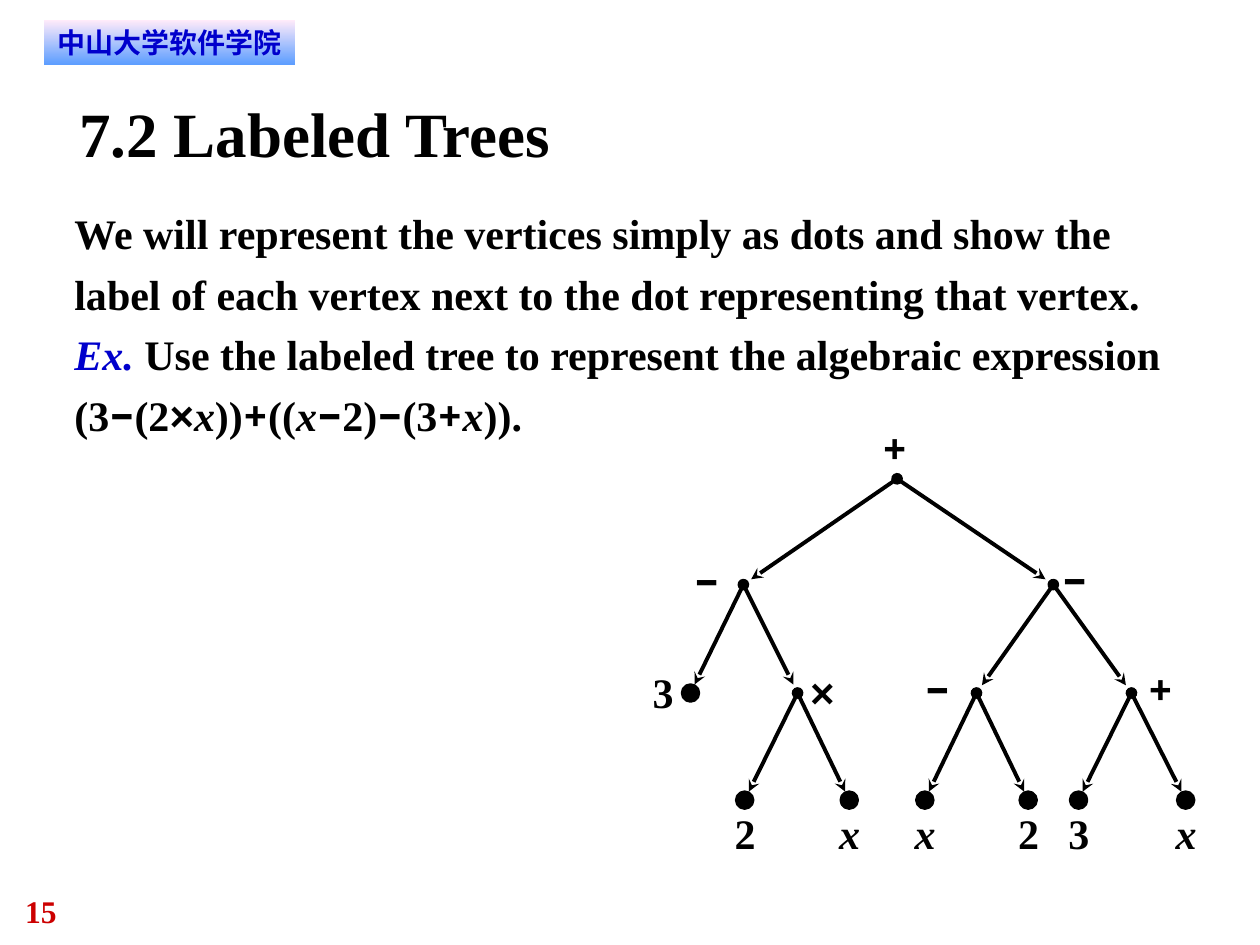
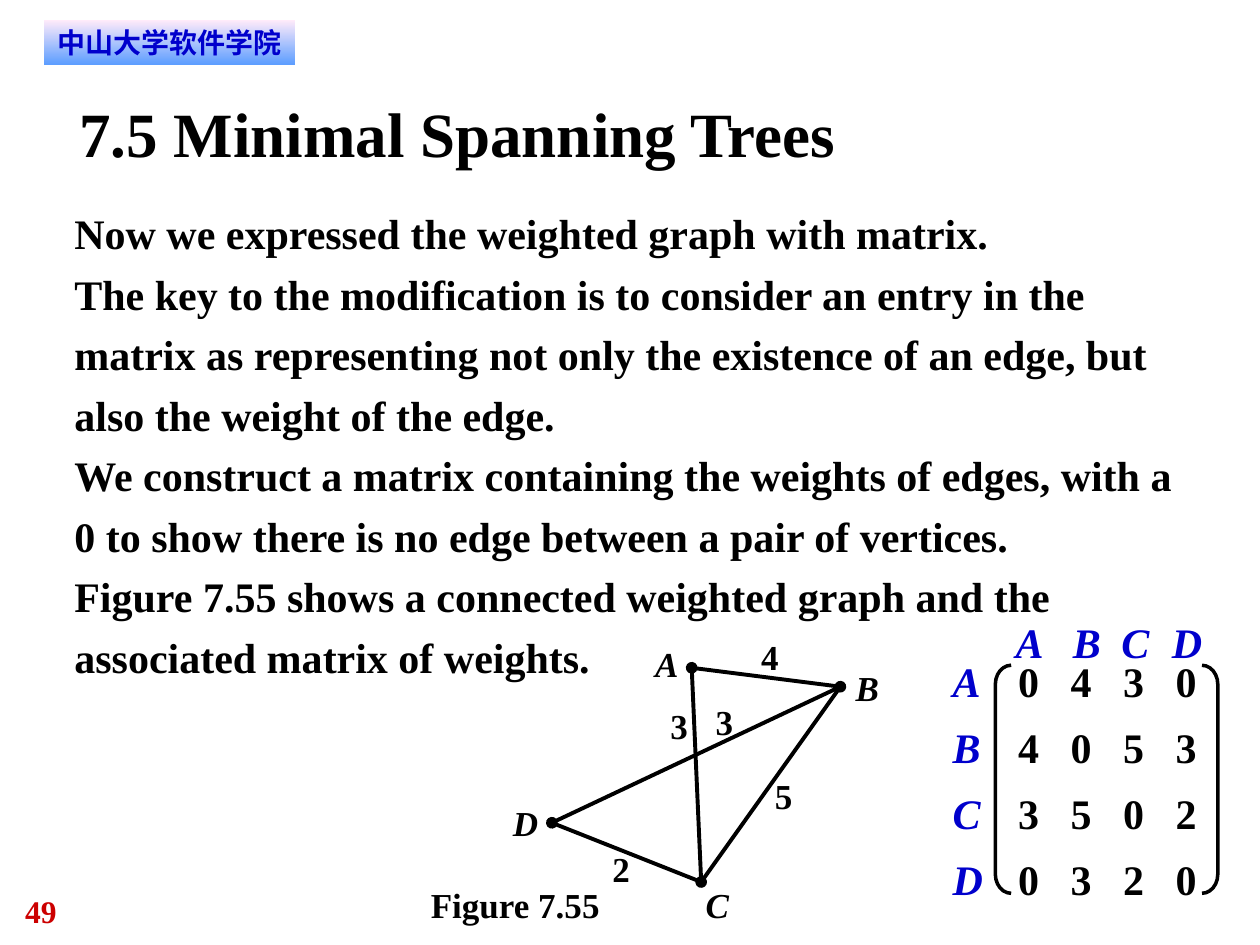
from dataclasses import dataclass
from itertools import groupby
from math import hypot
from typing import Optional

from lxml.etree import SubElement
from pptx import Presentation
from pptx.dml.color import RGBColor
from pptx.enum.shapes import MSO_CONNECTOR, MSO_SHAPE
from pptx.enum.text import MSO_ANCHOR, MSO_AUTO_SIZE, PP_ALIGN
from pptx.oxml.ns import qn
from pptx.util import Inches, Pt

COLORS = {"ink": "000000", "accent": "0000CC", "number": "CC0000",
          "band_top": "FFEBFA", "band_bottom": "5E9EFF"}
SERIF, MONO, SANS, BAND_FONT = "Times New Roman", "Noto Sans Mono", "Arial", "DejaVu Sans"

# The page is a grid of 100 columns by 75 rows
PAGE_WIDTH, PAGE_HEIGHT = Inches(10), Inches(7.5)
COLUMN, ROW = PAGE_WIDTH / 100, PAGE_HEIGHT / 75
DOT = 1.2


@dataclass(frozen=True)
class Area:
    left: float
    top: float
    width: float
    height: float

    def lengths(self) -> tuple:
        return (round(self.left * COLUMN), round(self.top * ROW),
                round(self.width * COLUMN), round(self.height * ROW))


@dataclass(frozen=True)
class Span:
    text: str
    font: str = SERIF
    italic: bool = False
    color: str = "ink"


@dataclass(frozen=True)
class Vertex:
    column: float
    row: float
    label: str
    label_left: float = -0.8
    label_top: float = 0.6
    children: tuple = ()


@dataclass(frozen=True)
class Edge:
    start: str
    end: str
    weight: str
    label_left: float
    label_top: float
    dots: Optional[str] = None


# Symbol: font, italic, width of its label
SYMBOLS = {"+": (MONO, False, 1.9), "−": (MONO, False, 2.8),
           "×": (SANS, False, 2.7), "x": (SERIF, True, 1.7)}
PLAIN = (SERIF, False, 1.7)


def symbol_style(symbol: str) -> tuple:
    return SYMBOLS.get(symbol, PLAIN)


def math_spans(text: str) -> list:
    return [Span("".join(part), style[0], style[1])
            for style, part in groupby(text, key=symbol_style)]


def write_text(frame, paragraphs: list, *, size: float, align=None, line_spacing=None,
               space_before: float = 0, tabs: tuple = (), bullets_off: bool = False,
               insets: tuple = (0, 0)) -> None:
    """Fill a text frame with paragraphs, each a list of spans."""
    frame.word_wrap = True
    frame.auto_size = MSO_AUTO_SIZE.NONE
    frame.vertical_anchor = MSO_ANCHOR.TOP
    frame.margin_left = frame.margin_right = Inches(insets[0])
    frame.margin_top = frame.margin_bottom = Inches(insets[1])
    for index, spans in enumerate(paragraphs):
        para = frame.add_paragraph() if index else frame.paragraphs[0]
        properties = para._p.get_or_add_pPr()
        if bullets_off:
            properties.set("marL", "0")
            properties.set("indent", "0")
            SubElement(properties, qn("a:buNone"))
        if tabs:
            tab_list = SubElement(properties, qn("a:tabLst"))
            for stop in tabs:
                SubElement(tab_list, qn("a:tab"), pos=str(round(stop * COLUMN)), algn="l")
        para.alignment = align
        para.space_before = Pt(space_before if index else 0)
        if line_spacing:
            para.line_spacing = line_spacing
        for span in spans:
            run = para.add_run()
            run.text = span.text
            run.font.size = Pt(size)
            run.font.bold = True
            run.font.italic = span.italic
            run.font.color.rgb = RGBColor.from_string(COLORS[span.color])
            run.font.name = span.font
            SubElement(run._r.get_or_add_rPr(), qn("a:ea"), typeface=span.font)


def add_text(page, area: Area, paragraphs: list, **text_format) -> None:
    box = page.shapes.add_textbox(*area.lengths())
    write_text(box.text_frame, paragraphs, **text_format)


def fill_placeholder(holder, area: Area, paragraphs: list, **text_format) -> None:
    holder.left, holder.top, holder.width, holder.height = area.lengths()
    write_text(holder.text_frame, paragraphs, align=PP_ALIGN.LEFT, **text_format)


def add_line(page, start: tuple, end: tuple, head: Optional[str] = None,
             tail: Optional[str] = None) -> None:
    line = page.shapes.add_connector(
        MSO_CONNECTOR.STRAIGHT, round(start[0] * COLUMN), round(start[1] * ROW),
        round(end[0] * COLUMN), round(end[1] * ROW))
    line.line.width = Pt(2.25)
    line.line.color.rgb = RGBColor.from_string(COLORS["ink"])
    outline = line.line._get_or_add_ln()
    for tag, kind in (("a:headEnd", head), ("a:tailEnd", tail)):
        if kind:
            SubElement(outline, qn(tag), type=kind)
    SubElement(line._element.spPr, qn("a:effectLst"))


def add_dot(page, column: float, row: float) -> None:
    area = Area(column - DOT / 2, row - DOT / 2, DOT, DOT)
    dot = page.shapes.add_shape(MSO_SHAPE.OVAL, *area.lengths())
    dot.shadow.inherit = False
    dot.fill.solid()
    dot.fill.fore_color.rgb = RGBColor.from_string(COLORS["ink"])
    dot.line.color.rgb = RGBColor.from_string(COLORS["ink"])
    dot.line.width = Pt(2.5)


def add_bracket(page, kind, area: Area) -> None:
    bracket = page.shapes.add_shape(kind, *area.lengths())
    bracket.shadow.inherit = False
    bracket.adjustments[0] = 1.2
    bracket.fill.background()
    bracket.line.color.rgb = RGBColor.from_string(COLORS["ink"])
    bracket.line.width = Pt(2)


def add_page(deck, number: str, title: str, body: list, body_area: Area):
    """Page with the shared number, school band, title and body."""
    page = deck.slides.add_slide(deck.slide_layouts[1])
    add_text(page, Area(2, 70.8, 7.5, 3), [[Span(number, color="number")]], size=18)

    band = page.shapes.add_shape(MSO_SHAPE.RECTANGLE, *Area(3.5, 1.6, 19.9, 3.5).lengths())
    band.shadow.inherit = False
    band.line.fill.background()
    band.fill.gradient()
    band.fill.gradient_angle = 270
    for stop, position, name in zip(band.fill.gradient_stops, (0, 1), ("band_top", "band_bottom")):
        stop.position = position
        stop.color.rgb = RGBColor.from_string(COLORS[name])
    write_text(band.text_frame, [[Span("中山大学软件学院", BAND_FONT, color="accent")]],
               size=16, align=PP_ALIGN.CENTER, insets=(0.08, 0.04))

    fill_placeholder(page.shapes.title, Area(6.3, 7.5, 87.5, 6), [[Span(title)]], size=36)
    fill_placeholder(page.placeholders[1], body_area, body, size=24,
                     line_spacing=1.2, bullets_off=True)
    return page


# Expression tree
TREE_ROWS = (38, 46.4, 55, 63.5)


def expression_tree() -> Vertex:
    _, second, third, leaves = TREE_ROWS

    def leaf(column: float, label: str) -> Vertex:
        return Vertex(column, leaves, label)

    times = Vertex(63.3, third, "×", 1, -2.1, (leaf(59.1, "2"), leaf(67.4, "x")))
    minus = Vertex(77.5, third, "−", -4.1, -2.3, (leaf(73.4, "x"), leaf(81.6, "2")))
    plus = Vertex(89.8, third, "+", 1.3, -2.3, (leaf(85.6, "3"), leaf(94.1, "x")))
    three = Vertex(54.8, third, "3", -3, -2.1)
    left = Vertex(59, second, "−", -3.9, -2.3, (three, times))
    right = Vertex(83.6, second, "−", 0.7, -2.4, (minus, plus))
    return Vertex(71.2, TREE_ROWS[0], "+", -1.2, -4.5, (left, right))


def draw_tree(page, vertex: Vertex, gap: float = 0.75) -> None:
    font, italic, width = symbol_style(vertex.label)
    add_text(page, Area(vertex.column + vertex.label_left, vertex.row + vertex.label_top, width, 4),
             [[Span(vertex.label, font, italic)]], size=24)
    if not vertex.children:
        add_dot(page, vertex.column, vertex.row)
    for index, child in enumerate(vertex.children):
        across, down = child.column - vertex.column, child.row - vertex.row
        share = 1 - gap / hypot(across, down)
        add_line(page, (vertex.column, vertex.row),
                 (vertex.column + across * share, vertex.row + down * share),
                 head=None if index else "oval", tail="stealth")
        draw_tree(page, child, gap)


# Weighted graph and its matrix
CORNERS = {"A": Vertex(54.9, 53, "A", -2.9, -2), "B": Vertex(66.7, 54.5, "B", 1.2, -1.6),
           "C": Vertex(55.65, 70, "C", 0.35, 0.1), "D": Vertex(43.8, 65.3, "D", -3.1, -1.7)}
EDGES = (Edge("A", "B", "4", 60.4, 50.4, "oval"), Edge("D", "C", "2", 48.6, 67.3, "oval"),
         Edge("A", "C", "3", 53.2, 55.9), Edge("B", "D", "3", 56.8, 55.6),
         Edge("B", "C", "5", 61.5, 61.5))


def draw_graph(page) -> None:
    for edge in EDGES:
        start, end = CORNERS[edge.start], CORNERS[edge.end]
        add_line(page, (start.column, start.row), (end.column, end.row), edge.dots, edge.dots)
        add_text(page, Area(edge.label_left, edge.label_top, 1.4, 3.3),
                 [[Span(edge.weight)]], size=20)
    for corner in CORNERS.values():
        add_text(page, Area(corner.column + corner.label_left, corner.row + corner.label_top, 2, 3.3),
                 [[Span(corner.label, italic=True)]], size=20)
    add_text(page, Area(34.2, 70.1, 14, 3.3), [[Span("Figure 7.55")]], size=20)


def weight_rows() -> list:
    weights = {frozenset((edge.start, edge.end)): edge.weight for edge in EDGES}
    return ["\t".join(weights.get(frozenset((one, other)), "0") for other in CORNERS)
            for one in CORNERS]


def draw_matrix(page) -> None:
    add_bracket(page, MSO_SHAPE.LEFT_BRACKET, Area(79, 52.8, 1.25, 18.1))
    add_bracket(page, MSO_SHAPE.RIGHT_BRACKET, Area(95.4, 52.8, 1.25, 18.1))
    add_text(page, Area(80.8, 52, 14.4, 19.8), [[Span(row)] for row in weight_rows()],
             size=24, space_before=9, tabs=tuple(4.17 * step for step in (1, 2, 3)))
    add_text(page, Area(75.6, 52, 2.5, 19.8),
             [[Span(name, italic=True, color="accent")] for name in CORNERS],
             size=24, space_before=9)
    add_text(page, Area(80.6, 48.9, 15.8, 4),
             [[Span("\t".join(CORNERS), italic=True, color="accent")]],
             size=24, tabs=(4.55, 8.4, 12.4))


def main() -> None:
    deck = Presentation()
    deck.slide_width, deck.slide_height = PAGE_WIDTH, PAGE_HEIGHT

    tree_body = [
        [Span("We will represent the vertices simply as dots and show the label of each "
              "vertex next to the dot representing that vertex.")],
        [Span("Ex.", italic=True, color="accent"),
         Span(" Use the labeled tree to represent the algebraic expression "),
         *math_spans("(3−(2×x))+((x−2)−(3+x)).")]]
    page = add_page(deck, "15", "7.2 Labeled Trees", tree_body, Area(5.9, 15.7, 87.6, 19.2))
    draw_tree(page, expression_tree())

    graph_body = [[Span(text)] for text in (
        "Now we expressed the weighted graph with matrix.",
        "The key to the modification is to consider an entry in the matrix as representing "
        "not only the existence of an edge, but also the weight of the edge.",
        "We construct a matrix containing the weights of edges, with a 0 to show there is "
        "no edge between a pair of vertices.",
        "Figure 7.55 shows a connected weighted graph and the associated matrix of weights.")]
    page = add_page(deck, "49", "7.5 Minimal Spanning Trees", graph_body,
                    Area(5.9, 15.7, 89.5, 38.4))
    draw_graph(page)
    draw_matrix(page)

    deck.save("out.pptx")


if __name__ == "__main__":
    main()
